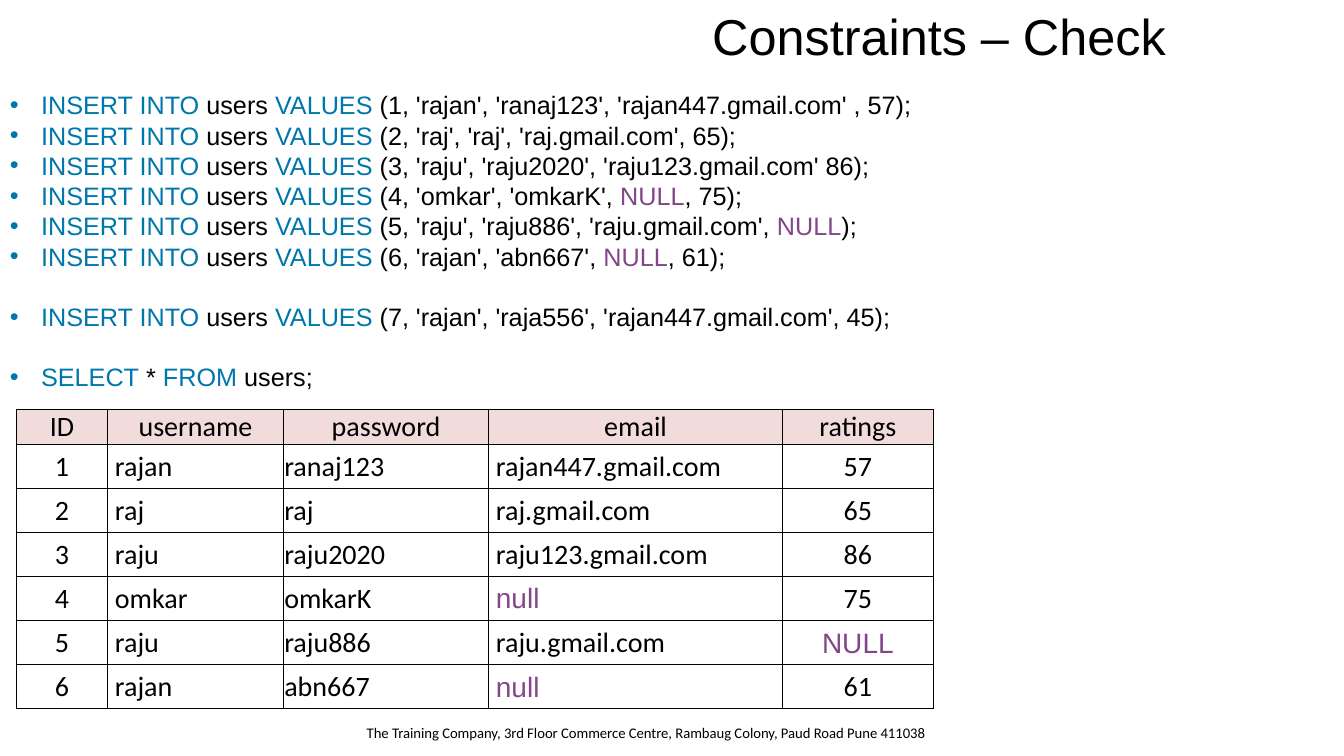
"""Build the slide on check constraints: SQL statements and the resulting users table."""
from dataclasses import dataclass

from lxml import etree
from pptx import Presentation
from pptx import util as u
from pptx.dml.color import RGBColor
from pptx.enum import shapes, text
from pptx.oxml import ns
from pptx.slide import Slide
from pptx.table import _Cell as Cell
from pptx.text.text import Font, TextFrame

SLIDE_WIDTH, SLIDE_HEIGHT = u.Inches(13.33), u.Inches(7.5)
CENTER, LEFT, RIGHT = text.PP_ALIGN.CENTER, text.PP_ALIGN.LEFT, text.PP_ALIGN.RIGHT


@dataclass(frozen=True)
class Theme:
    heading_font: str = "Arial"
    table_font: str = "Calibri"
    ink: str = "000000"
    paper: str = "FFFFFF"
    keyword: str = "0077AA"
    null: str = "834689"
    header: str = "F2DCDB"
    title_size: float = 36
    table_size: float = 20
    code_size: float = 18
    code_pitch: float = 21.6
    footer_size: float = 10.5


@dataclass(frozen=True)
class Area:
    """Position and size in percent of the slide."""
    left: float
    top: float
    width: float
    height: float

    def lengths(self) -> tuple[int, int, int, int]:
        return across(self.left), down(self.top), across(self.width), down(self.height)


@dataclass(frozen=True)
class Statement:
    """SQL pieces, alternating keyword and plain text."""
    pieces: tuple[str, ...]
    gap_before: bool = False


@dataclass(frozen=True)
class Column:
    heading: str
    width: float
    align: text.PP_ALIGN
    inset: float
    values: tuple[str, ...]


def across(percent: float) -> int:
    return round(SLIDE_WIDTH * percent / 100)


def down(percent: float) -> int:
    return round(SLIDE_HEIGHT * percent / 100)


def insert(values: str, gap_before: bool = False) -> Statement:
    before, null, after = values.partition("NULL")
    pieces = ("INSERT INTO", " users ", "VALUES", f" ({before}", null, f"{after});")
    return Statement(pieces, gap_before)


THEME = Theme()
TITLE_AREA = Area(12.5, 0, 75, 9.47)
CODE_AREA = Area(0, 11.2, 100, 41.73)
TABLE_AREA = Area(1.2, 54.13, 68.26, 39.65)
FOOTER_AREA = Area(26.55, 95.07, 44.35, 4.93)
HEADER_HEIGHT, ROW_HEIGHT = 4.67, 5.83

STATEMENTS = (
    insert("1, 'rajan', 'ranaj123', 'rajan447.gmail.com' , 57"),
    insert("2, 'raj', 'raj', 'raj.gmail.com', 65"),
    insert("3, 'raju', 'raju2020', 'raju123.gmail.com' 86"),
    insert("4, 'omkar', 'omkarK', NULL, 75"),
    insert("5, 'raju', 'raju886', 'raju.gmail.com', NULL"),
    insert("6, 'rajan', 'abn667', NULL, 61"),
    insert("7, 'rajan', 'raja556', 'rajan447.gmail.com', 45", gap_before=True),
    Statement(("SELECT", " * ", "FROM", " users;"), gap_before=True),
)

COLUMNS = (
    Column("ID", 6.83, CENTER, 0.01, ("1", "2", "3", "4", "5", "6")),
    Column("username", 13.05, LEFT, 0.07, ("rajan", "raj", "raju", "omkar", "raju", "rajan")),
    Column("password", 15.3, LEFT, 0.01,
           ("ranaj123", "raj", "raju2020", "omkarK", "raju886", "abn667")),
    Column("email", 21.83, LEFT, 0.07,
           ("rajan447.gmail.com", "raj.gmail.com", "raju123.gmail.com", "null",
            "raju.gmail.com", "null")),
    Column("ratings", 11.25, CENTER, 0.01, ("57", "65", "86", "75", "NULL", "61")),
)


def style(font: Font, name: str, size: float, color: str) -> None:
    font.name, font.size = name, u.Pt(size)
    font.color.rgb = RGBColor.from_string(color)


def add_text_box(slide: Slide, area: Area) -> TextFrame:
    frame = slide.shapes.add_textbox(*area.lengths()).text_frame
    frame.word_wrap = True
    return frame


def add_title(slide: Slide, title: str) -> None:
    shape = slide.shapes.add_shape(shapes.MSO_SHAPE.RECTANGLE, *TITLE_AREA.lengths())
    shape.shadow.inherit = False
    shape.fill.solid()
    shape.fill.fore_color.rgb = RGBColor.from_string(THEME.paper)
    shape.line.fill.background()
    shape.text_frame.vertical_anchor = text.MSO_ANCHOR.MIDDLE
    paragraph = shape.text_frame.paragraphs[0]
    paragraph.text, paragraph.alignment = title, RIGHT
    style(paragraph.font, THEME.heading_font, THEME.title_size, THEME.ink)


def add_statements(slide: Slide) -> None:
    frame = add_text_box(slide, CODE_AREA)
    for index, statement in enumerate(STATEMENTS):
        paragraph = frame.add_paragraph() if index else frame.paragraphs[0]
        paragraph.line_spacing = u.Pt(THEME.code_pitch)
        if statement.gap_before:
            paragraph.space_before = u.Pt(THEME.code_pitch)
        properties = paragraph._p.get_or_add_pPr()
        indent = u.Inches(0.31)
        properties.set("marL", str(indent))
        properties.set("indent", str(-indent))
        etree.SubElement(properties, ns.qn("a:buFont"), typeface=THEME.heading_font)
        etree.SubElement(properties, ns.qn("a:buChar"), char="•")
        for position, piece in enumerate(statement.pieces):
            if piece:
                run = paragraph.add_run()
                run.text = piece
                keyword = THEME.null if piece == "NULL" else THEME.keyword
                color = THEME.ink if position % 2 else keyword
                style(run.font, THEME.heading_font, THEME.code_size, color)


def add_borders(cell: Cell) -> None:
    properties = cell._tc.get_or_add_tcPr()
    for side in ("lnL", "lnR", "lnT", "lnB"):
        line = etree.SubElement(properties, ns.qn(f"a:{side}"), w=str(u.Pt(1)))
        fill = etree.SubElement(line, ns.qn("a:solidFill"))
        etree.SubElement(fill, ns.qn("a:srgbClr"), val=THEME.ink)


def fill_cell(cell: Cell, value: str, column: Column, is_header: bool) -> None:
    add_borders(cell)
    cell.margin_left = u.Inches(0.01 if is_header else column.inset)
    cell.margin_right = cell.margin_top = u.Inches(0.01)
    cell.margin_bottom = 0
    cell.vertical_anchor = text.MSO_ANCHOR.MIDDLE
    if is_header:
        cell.fill.solid()
        cell.fill.fore_color.rgb = RGBColor.from_string(THEME.header)
    else:
        cell.fill.background()
    paragraph = cell.text_frame.paragraphs[0]
    paragraph.text = value
    paragraph.alignment = CENTER if is_header else column.align
    is_null = value.upper() == "NULL"
    style(paragraph.font, THEME.heading_font if is_null else THEME.table_font,
          THEME.table_size, THEME.null if is_null else THEME.ink)


def add_users_table(slide: Slide) -> None:
    row_count = len(COLUMNS[0].values) + 1
    table = slide.shapes.add_table(row_count, len(COLUMNS), *TABLE_AREA.lengths()).table
    table.first_row = table.horz_banding = False
    for index, row in enumerate(table.rows):
        row.height = down(ROW_HEIGHT if index else HEADER_HEIGHT)
    for column_index, column in enumerate(COLUMNS):
        table.columns[column_index].width = across(column.width)
        for row_index, value in enumerate((column.heading, *column.values)):
            fill_cell(table.cell(row_index, column_index), value, column, row_index == 0)


def add_footer(slide: Slide, address: str) -> None:
    paragraph = add_text_box(slide, FOOTER_AREA).paragraphs[0]
    paragraph.text = address
    style(paragraph.font, THEME.table_font, THEME.footer_size, THEME.ink)


def main() -> None:
    presentation = Presentation()
    presentation.slide_width, presentation.slide_height = SLIDE_WIDTH, SLIDE_HEIGHT
    slide = presentation.slides.add_slide(presentation.slide_layouts[6])
    add_title(slide, "Constraints – Check")
    add_users_table(slide)
    add_statements(slide)
    add_footer(slide, "The Training Company, 3rd Floor Commerce Centre, "
                      "Rambaug Colony, Paud Road Pune 411038")
    presentation.save("out.pptx")


if __name__ == "__main__":
    main()
